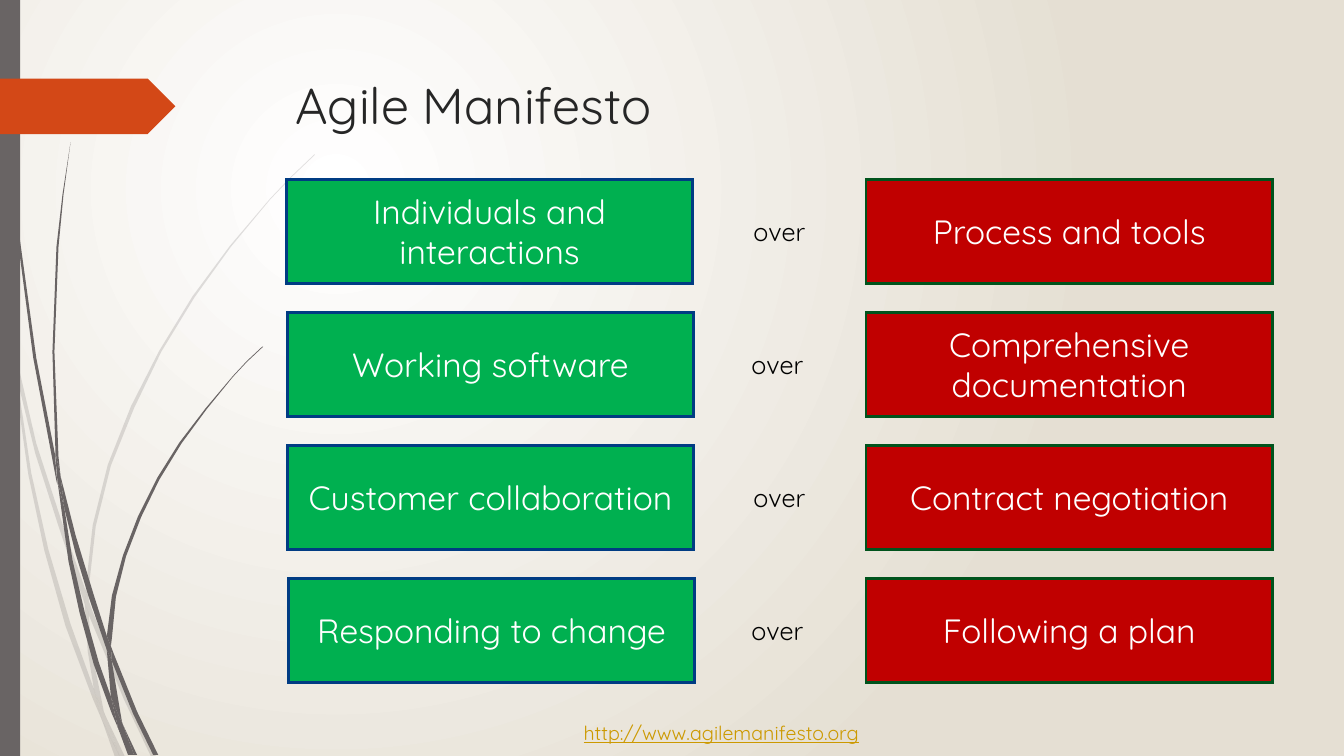
from lxml import etree
from pptx import Presentation
from pptx.dml.color import RGBColor
from pptx.enum.shapes import MSO_SHAPE
from pptx.enum.text import MSO_ANCHOR, PP_ALIGN
from pptx.oxml.ns import qn
from pptx.util import Inches, Pt

RECTANGLE, ARROW_TAG = MSO_SHAPE.RECTANGLE, MSO_SHAPE.PENTAGON
MIDDLE = MSO_ANCHOR.MIDDLE
LEFT, CENTER = PP_ALIGN.LEFT, PP_ALIGN.CENTER

# Content: preferred value, lesser value, left edge of the preferred box, of the link word
TITLE = "Agile Manifesto"
VALUES = [
    ("Individuals and interactions", "Process and tools", 2.84, 7.27),
    ("Working software", "Comprehensive documentation", 2.85, 7.25),
    ("Customer collaboration", "Contract negotiation", 2.85, 7.27),
    ("Responding to change", "Following a plan", 2.86, 7.25),
]
LINKING_WORD = "over"
ADDRESS = "http://www.agilemanifesto.org"

# Grass leaves, each an outline of corners in inches
FAINT_LEAVES = [
    [(0.11, 3.5), (0.09, 3.22), (0, 2.82), (0, 2.99), (0.1, 3.44)],
    [(0.58, 5.22), (0.84, 5.99), (0.85, 5.86), (0.62, 5.2), (0.36, 4.4), (0.14, 3.45),
     (0.17, 3.76), (0.35, 4.5)],
    [(0.92, 6.07), (0.88, 5.96), (0.88, 6.1), (1.23, 6.94), (1.5, 7.51), (1.55, 7.51),
     (1.27, 6.92)],
    [(1.19, 7.51), (1.24, 7.51), (1.05, 7.11)],
    [(0.93, 6.83), (0.7, 6.19), (0.48, 5.45), (0.31, 4.69), (0.17, 3.76), (0.11, 3.5),
     (0.28, 4.7), (0.44, 5.46), (0.65, 6.21), (0.92, 6.93), (1.01, 7.14), (0.99, 7.07)],
    [(0.84, 5.99), (0.87, 6.46), (0.93, 6.83), (0.96, 6.92), (1.05, 7.11), (1.03, 7.06),
     (0.91, 6.46), (0.88, 6.1), (0.88, 6.08)],
    [(0.88, 5.84), (0.95, 5.22), (1.1, 4.62), (1.33, 4.05), (1.6, 3.49), (1.93, 2.95),
     (2.29, 2.45), (2.68, 1.98), (2.9, 1.75), (3.12, 1.54), (3.12, 1.53), (2.89, 1.75),
     (2.68, 1.97), (2.28, 2.44), (1.91, 2.94), (1.58, 3.48), (1.3, 4.03), (1.07, 4.61),
     (0.92, 5.21), (0.85, 5.84), (0.85, 5.86), (0.88, 5.96)],
    [(1.01, 7.14), (1.14, 7.51), (1.19, 7.51)],
    [(0.88, 6.08), (0.88, 6.1), (0.88, 5.96), (0.85, 5.86), (0.84, 5.99)],
    [(0.96, 6.92), (0.93, 6.83), (0.99, 7.07), (1.01, 7.14), (1.19, 7.51), (1.05, 7.11)],
]
DARK_LEAVES = [
    [(0.07, 1.1), (0.17, 2.33), (0.33, 3.55), (0.56, 4.77), (0.57, 4.81), (0.55, 4.57),
     (0.55, 4.53), (0.36, 3.55), (0.19, 2.32), (0.08, 1.09), (0.05, 0.48), (0.04, 0),
     (0.03, 0), (0.04, 0.48)],
    [(0.88, 5.92), (1.06, 6.45), (1.06, 6.33), (1.06, 6.31), (0.93, 5.9), (0.75, 5.31),
     (0.6, 4.72), (0.64, 5.05), (0.75, 5.49)],
    [(1.13, 6.49), (1.1, 6.41), (1.11, 6.56), (1.32, 7.08), (1.52, 7.49), (1.57, 7.49),
     (1.36, 7.06)],
    [(1.1, 6.91), (0.98, 6.57), (0.84, 6.07), (0.72, 5.56), (0.64, 5.05), (0.57, 4.77),
     (0.68, 5.57), (0.79, 6.08), (0.93, 6.59), (1.11, 7.08), (1.17, 7.22), (1.16, 7.17)],
    [(0.6, 4.72), (0.58, 4.53), (0.54, 3.49), (0.58, 2.45), (0.63, 1.93), (0.7, 1.41),
     (0.62, 1.93), (0.56, 2.45), (0.52, 3.49), (0.55, 4.49)],
    [(1.33, 7.49), (1.36, 7.49), (1.22, 7.19)],
    [(0.57, 4.77), (0.64, 5.05), (0.6, 4.72), (0.55, 4.49), (0.55, 4.53)],
    [(1.11, 6.33), (1.15, 5.92), (1.25, 5.52), (1.4, 5.13), (1.58, 4.76), (1.8, 4.4),
     (2.05, 4.06), (2.31, 3.74), (2.45, 3.59), (2.61, 3.44), (2.6, 3.44), (2.45, 3.58),
     (2.31, 3.73), (2.04, 4.05), (1.78, 4.39), (1.56, 4.74), (1.37, 5.12), (1.22, 5.51),
     (1.11, 5.91), (1.06, 6.31), (1.1, 6.41)],
    [(1.17, 7.22), (1.27, 7.49), (1.31, 7.49)],
    [(1.06, 6.45), (1.1, 6.91), (1.16, 7.06), (1.22, 7.19), (1.21, 7.16), (1.11, 6.56),
     (1.09, 6.51)],
    [(1.06, 6.45), (1.09, 6.51), (1.11, 6.56), (1.1, 6.41), (1.06, 6.31)],
    [(1.16, 7.06), (1.1, 6.91), (1.16, 7.17), (1.17, 7.22), (1.3, 7.49), (1.33, 7.49),
     (1.22, 7.19)],
]

# Style
FONT = "Quicksand"
WHITE = RGBColor(0xFF, 0xFF, 0xFF)
BLACK = RGBColor(0, 0, 0)
SAND = RGBColor(0xE5, 0xDF, 0xD3)
GRAY = RGBColor(0x69, 0x64, 0x64)
ORANGE = RGBColor(0xD3, 0x48, 0x17)
INK = RGBColor(0x26, 0x26, 0x26)
GREEN = RGBColor(0x00, 0xB0, 0x50)
BLUE_EDGE = RGBColor(0x00, 0x3C, 0x83)
RED = RGBColor(0xC0, 0x00, 0x00)
GREEN_EDGE = RGBColor(0x00, 0x53, 0x1C)
GOLD = RGBColor(0xCC, 0x99, 0x00)

# Grid in inches
SLIDE_W, SLIDE_H = 13.33, 7.5
LESSER_X = 8.59
BOX_W, BOX_H = 4.03, 1.03
OVER_W, OVER_H = 0.92, 0.39
FIRST_ROW_Y, ROW_STEP = 1.78, 1.32

prs = Presentation()
prs.slide_width, prs.slide_height = Inches(SLIDE_W), Inches(SLIDE_H)
slide = prs.slides.add_slide(prs.slide_layouts[5])
shapes = slide.shapes


def area(*lengths):
    return [Inches(length) for length in lengths]


def write(shape, text, size, color, align=CENTER, inset=0):
    frame = shape.text_frame
    frame.text = text
    frame.word_wrap = True
    frame.vertical_anchor = MIDDLE
    frame.margin_left = frame.margin_right = Inches(inset)
    frame.margin_top = frame.margin_bottom = Inches(inset / 2)
    frame.paragraphs[0].alignment = align
    font = frame.paragraphs[0].runs[0].font
    font.name, font.size, font.color.rgb = FONT, Pt(size), color
    return frame


def paint(shape, fill, edge=None):
    shape.shadow.inherit = False
    shape.fill.solid()
    shape.fill.fore_color.rgb = fill
    if edge is None:
        shape.line.fill.background()
    else:
        shape.line.color.rgb = edge
        shape.line.width = Pt(2)
        outline = shape.element.spPr.find(qn("a:ln"))
        etree.SubElement(outline, qn("a:miter"), {"lim": "800000"})


def add_leaf(corners):
    start, *others = [area(*corner) for corner in corners]
    builder = shapes.build_freeform(*start)
    builder.add_line_segments(others, close=True)
    leaf = builder.convert_to_shape()
    paint(leaf, GRAY)
    return leaf


# Background glow
glow = slide.background.fill
glow.gradient()
for stop, color, position in zip(glow.gradient_stops, (WHITE, SAND), (0, 1)):
    stop.color.rgb, stop.position = color, position
gradient = slide.element.find(".//" + qn("a:gradFill"))
gradient.remove(gradient.find(qn("a:lin")))
circle = etree.SubElement(gradient, qn("a:path"), {"path": "circle"})
etree.SubElement(circle, qn("a:fillToRect"),
                 {"l": "50000", "t": "50000", "r": "100000", "b": "100000"})

# Grass, side bar and arrow tag
for corners in FAINT_LEAVES:
    leaf_color = add_leaf(corners).element.spPr.find(".//" + qn("a:srgbClr"))
    etree.SubElement(leaf_color, qn("a:alpha"), {"val": "20000"})
for corners in DARK_LEAVES:
    add_leaf(corners)
paint(shapes.add_shape(RECTANGLE, *area(0, 0, 0.2, SLIDE_H)), GRAY)
paint(shapes.add_shape(ARROW_TAG, *area(0, 0.78, 1.74, 0.55)), ORANGE)

# Title
title = shapes.title
title.left, title.top, title.width, title.height = area(2.83, 0.66, 9.75, 0.75)
write(title, TITLE, 36, INK, LEFT, 0.1)

# Value pairs
for row, (preferred, lesser, preferred_x, over_x) in enumerate(VALUES):
    y = FIRST_ROW_Y + row * ROW_STEP
    for x, text, fill, edge in ((LESSER_X, lesser, RED, GREEN_EDGE),
                                (preferred_x, preferred, GREEN, BLUE_EDGE)):
        box = shapes.add_shape(RECTANGLE, *area(x, y, BOX_W, BOX_H))
        paint(box, fill, edge)
        write(box, text, 24, WHITE)
    over_y = y + (BOX_H - OVER_H) / 2
    over = shapes.add_textbox(*area(over_x, over_y, OVER_W, OVER_H))
    write(over, LINKING_WORD, 18, BLACK)

# Web address
address = write(shapes.add_textbox(*area(5.69, 7.1, 3.14, 0.34)), ADDRESS, 14, GOLD, LEFT, 0.1)
address.word_wrap = False
address.paragraphs[0].runs[0].font.underline = True

prs.save("out.pptx")
